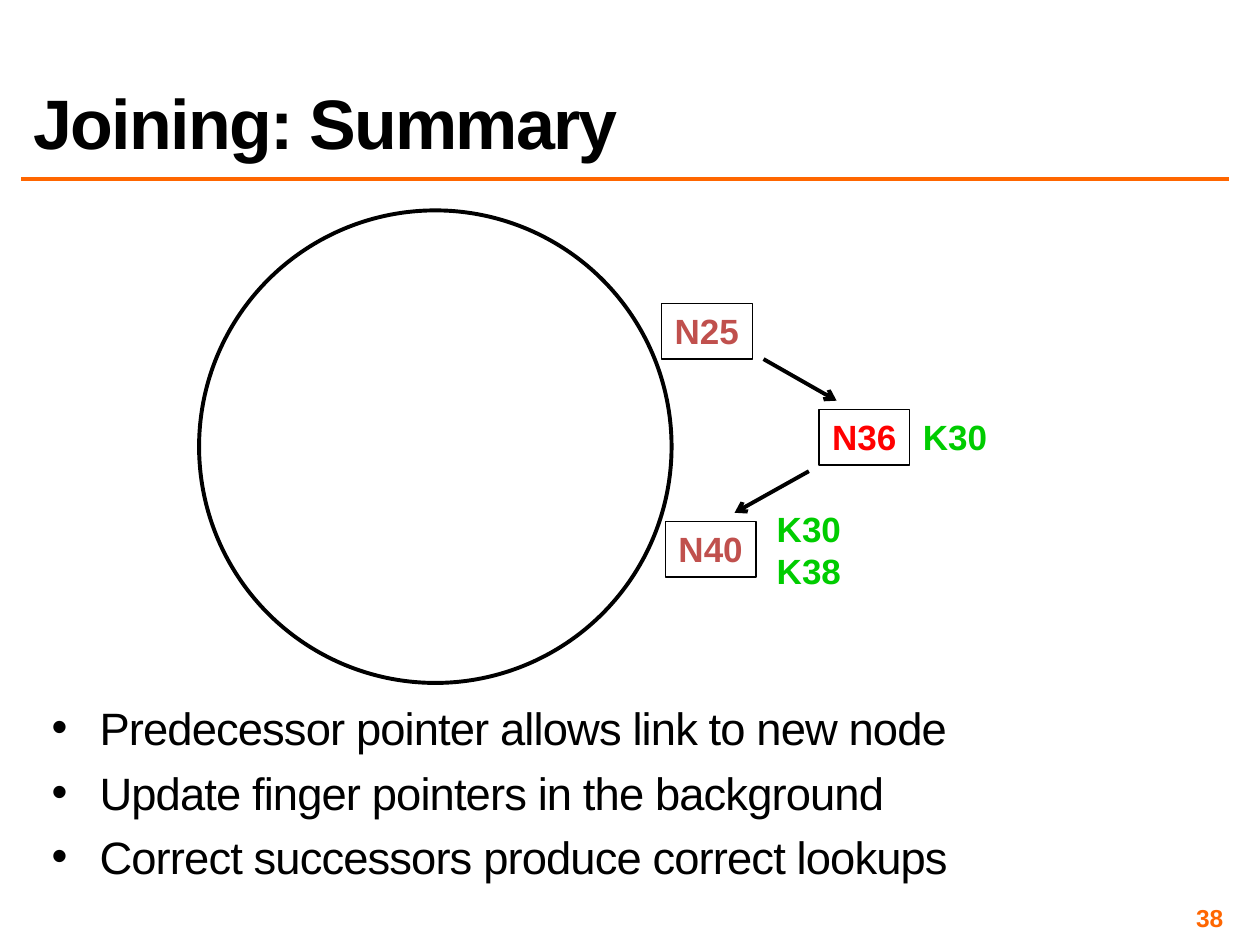
from dataclasses import dataclass

from lxml.etree import SubElement
from pptx import Presentation
from pptx.dml.color import RGBColor
from pptx.enum.shapes import MSO_CONNECTOR as Connector, MSO_SHAPE as Preset
from pptx.enum.text import MSO_ANCHOR as Anchor, MSO_AUTO_SIZE as AutoSize, PP_ALIGN as Align
from pptx.oxml.ns import qn
from pptx.util import Inches, Pt

COLORS = {
    "ink": "000000",
    "accent": "FF6600",
    "member": "C0504D",
    "joining": "FF0000",
    "key": "00CC00",
}
FONT = "Arial"
LABEL_WIDTH = 0.72


@dataclass
class Label:
    text: str
    left: float
    top: float
    height: float
    color: str
    framed: bool


@dataclass
class Line:
    start: tuple[float, float]
    end: tuple[float, float]
    color: str
    width: float
    arrow: bool


LABELS = [
    Label("N36", 6.5, 3.25, 0.44, "joining", True),
    Label("N40", 5.28, 4.14, 0.44, "member", True),
    Label("N25", 5.25, 2.41, 0.44, "member", True),
    Label("K30\nK38", 6.06, 3.98, 0.77, "key", False),
    Label("K30", 7.22, 3.25, 0.44, "key", False),
]
LINES = [
    Line((0.17, 1.42), (9.75, 1.42), "accent", 2, False),
    Line((6.06, 2.85), (6.64, 3.18), "ink", 2.25, True),
    Line((6.42, 3.74), (5.83, 4.07), "ink", 2.25, True),
]
BULLETS = [
    "Predecessor pointer allows link to new node",
    "Update finger pointers in the background",
    "Correct successors produce correct lookups",
]


def rgb(name: str) -> RGBColor:
    return RGBColor.from_string(COLORS[name])


def style_text(frame, size: float, color: str, bold: bool = True,
               align=Align.LEFT, tracking: float = 0) -> None:
    for para in frame.paragraphs:
        para.alignment = align
        for span in para.runs:
            span.font.name = FONT
            span.font.size = Pt(size)
            span.font.bold = bold
            span.font.color.rgb = rgb(color)
            if tracking:
                span.font._element.set("spc", str(int(tracking * 100)))


def add_text(page, text: str, left: float, top: float, width: float, height: float,
             inset: float | None = None):
    box = page.shapes.add_textbox(Inches(left), Inches(top), Inches(width), Inches(height))
    frame = box.text_frame
    frame.text = text
    frame.word_wrap = True
    if inset is not None:
        frame.margin_left = frame.margin_right = Inches(inset)
        frame.margin_top = frame.margin_bottom = Inches(inset)
    return frame


def add_outline(page, preset, left: float, top: float, width: float, height: float,
                weight: float):
    shape = page.shapes.add_shape(
        preset, Inches(left), Inches(top), Inches(width), Inches(height))
    shape.shadow.inherit = False
    shape.fill.background()
    shape.line.color.rgb = rgb("ink")
    shape.line.width = Pt(weight)
    return shape


def add_label(page, label: Label) -> None:
    place = (label.left, label.top, LABEL_WIDTH, label.height)
    if label.framed:
        frame = add_outline(page, Preset.RECTANGLE, *place, 0.75).text_frame
        frame.text = label.text
        frame.vertical_anchor = Anchor.TOP
    else:
        frame = add_text(page, label.text, *place)
    frame.word_wrap = False
    frame.auto_size = AutoSize.SHAPE_TO_FIT_TEXT
    style_text(frame, 20, label.color, align=Align.CENTER)


def add_line(page, line: Line) -> None:
    ends = [Inches(value) for value in (*line.start, *line.end)]
    connector = page.shapes.add_connector(Connector.STRAIGHT, *ends)
    connector.line.color.rgb = rgb(line.color)
    connector.line.width = Pt(line.width)
    if line.arrow:
        SubElement(connector.line._get_or_add_ln(), qn("a:tailEnd"), type="arrow")
    SubElement(connector._element.spPr, qn("a:effectLst"))


def add_bullets(page) -> None:
    frame = add_text(page, "\n".join(BULLETS), 0.37, 5.6, 9.38, 1.48, inset=0.04)
    for index, para in enumerate(frame.paragraphs):
        para.line_spacing = 0.8
        para.space_before = Pt(12 if index else 0)
        properties = para._p.get_or_add_pPr()
        properties.set("marL", str(Inches(0.38)))
        properties.set("indent", str(-Inches(0.38)))
        SubElement(properties, qn("a:buFont"), typeface=FONT)
        SubElement(properties, qn("a:buChar"), char="•")
    style_text(frame, 25.9, "ink", bold=False, tracking=-0.5)


def main() -> None:
    deck = Presentation()
    deck.slide_width, deck.slide_height = Inches(10), Inches(7.5)
    page = deck.slides.add_slide(deck.slide_layouts[6])

    # Title
    title = add_text(page, "Joining: Summary", 0.17, 0.17, 9.58, 1.17)
    title.vertical_anchor = Anchor.BOTTOM
    title.paragraphs[0].line_spacing = 0.8
    style_text(title, 40, "ink", tracking=-1)

    # Ring with its nodes and keys
    add_outline(page, Preset.OVAL, 1.58, 1.67, 3.75, 3.75, 2.25)
    for label in LABELS:
        add_label(page, label)

    # Title rule and successor arrows
    for line in LINES:
        add_line(page, line)

    add_bullets(page)

    # Page number
    number = add_text(page, "38", 7.42, 7.17, 2.33, 0.23, inset=0.04)
    number.vertical_anchor = Anchor.MIDDLE
    style_text(number, 14, "accent", align=Align.RIGHT)

    deck.save("out.pptx")


if __name__ == "__main__":
    main()
